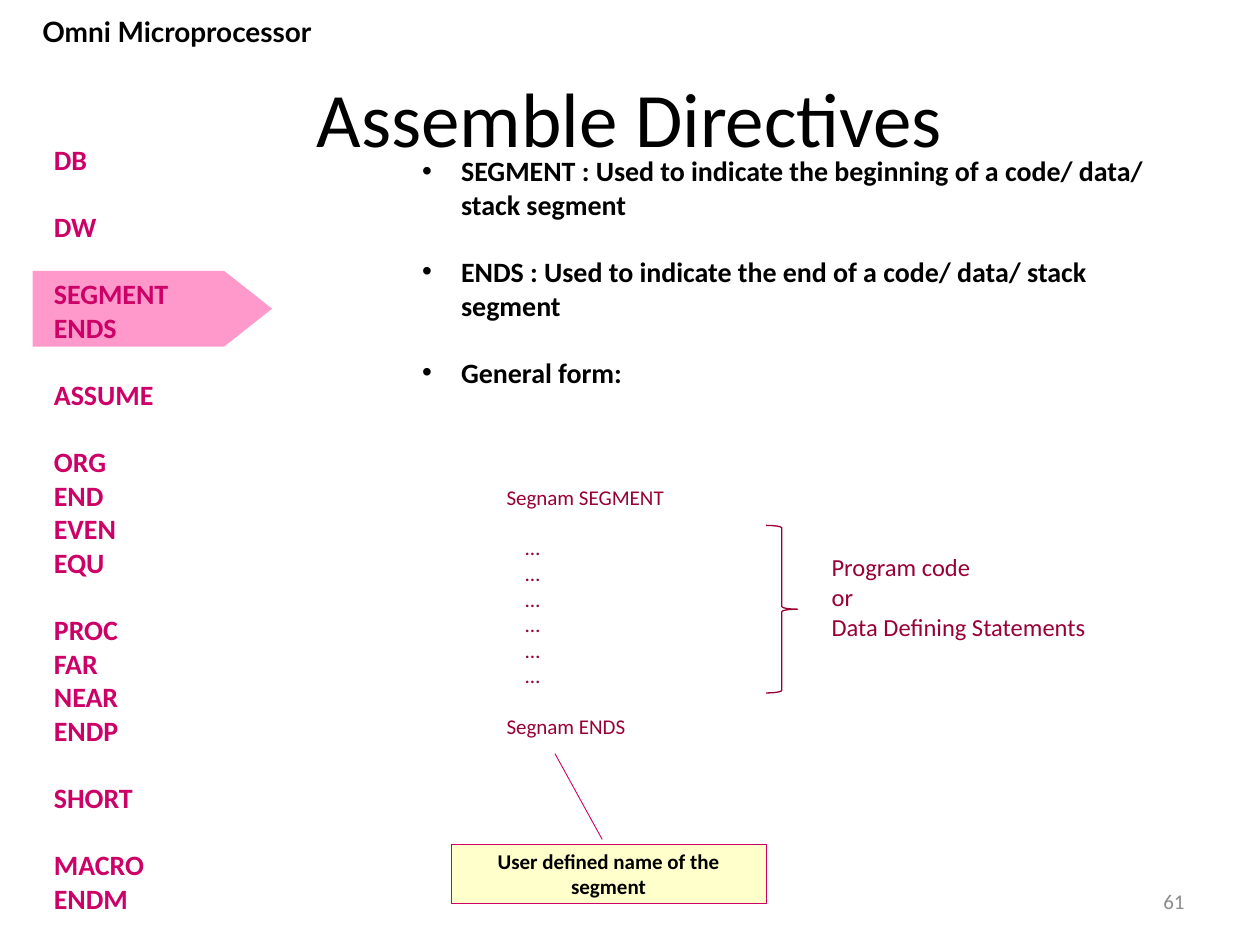
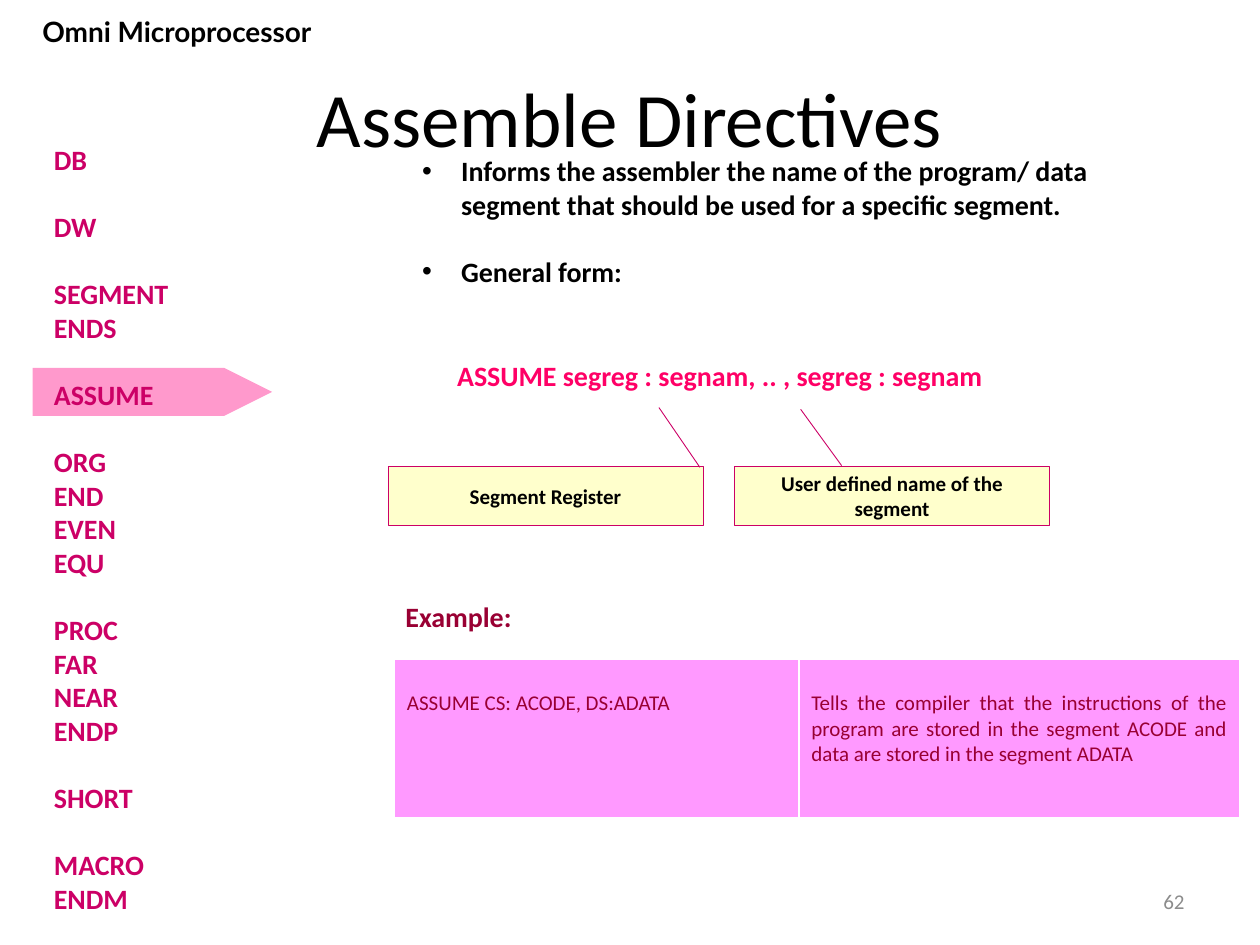
from lxml import etree
from pptx import Presentation
from pptx.dml.color import RGBColor
from pptx.enum.shapes import MSO_SHAPE
from pptx.enum.text import MSO_ANCHOR, MSO_AUTO_SIZE, PP_ALIGN
from pptx.oxml.ns import qn
from pptx.util import Inches, Pt

# Shared look
BLACK, WHITE, GREY = "000000", "FFFFFF", "8C8C8C"
MAGENTA, MAROON, HOT_PINK = "CC0066", "990033", "FF0066"
POINTER_PINK, CELL_PINK, CALLOUT_YELLOW = "FF99CC", "FF99FF", "FFFFCC"
FONT, HEADER_FONT = "Calibri", "Lato"
LINE_SPACING = 1.2  # height of a line relative to its text size

# Directives listed at the left, in groups separated by a gap
DIRECTIVES = [
    ["DB"], ["DW"], ["SEGMENT", "ENDS"], ["ASSUME"],
    ["ORG", "END", "EVEN", "EQU"], ["PROC", "FAR", "NEAR", "ENDP"],
    ["SHORT"], ["MACRO", "ENDM"],
]


def color(value):
    return RGBColor.from_string(value)


def box(left, top, width, height):
    return Inches(left), Inches(top), Inches(width), Inches(height)


def write_text(frame, groups, size=16, ink=BLACK, bold=False, font=FONT,
               align=PP_ALIGN.LEFT, anchor=MSO_ANCHOR.TOP):
    """Write groups of lines, one blank line's height apart; return the paragraphs."""
    if isinstance(groups, str):
        groups = [[groups]]
    frame.word_wrap = True
    frame.vertical_anchor = anchor
    paragraphs = []
    for group in groups:
        for position, text in enumerate(group):
            paragraph = frame.add_paragraph() if paragraphs else frame.paragraphs[0]
            starts_group = paragraphs and position == 0
            paragraph.space_before = Pt(size * LINE_SPACING if starts_group else 0)
            paragraph.alignment = align
            run = paragraph.add_run()
            run.text = text
            run.font.name = font
            run.font.size = Pt(size)
            run.font.bold = bold
            run.font.color.rgb = color(ink)
            paragraphs.append(paragraph)
    return paragraphs


def indent(paragraph, margin, first_line=0):
    properties = paragraph._p.get_or_add_pPr()
    properties.set("marL", str(Inches(margin)))
    properties.set("indent", str(Inches(first_line)))


def add_text(slide, place, groups, **text_format):
    shape = slide.shapes.add_textbox(*box(*place))
    write_text(shape.text_frame, groups, **text_format)


def add_preset(slide, preset, place, fill=None, line=None, line_width=0.5):
    shape = slide.shapes.add_shape(preset, *box(*place))
    shape.shadow.inherit = False
    if fill:
        shape.fill.solid()
        shape.fill.fore_color.rgb = color(fill)
    else:
        shape.fill.background()
    if line:
        shape.line.color.rgb = color(line)
        shape.line.width = Pt(line_width)
    else:
        shape.line.fill.background()
    return shape


def add_pointer(slide, top, height):
    """Highlight a directive with a tag that points right."""
    left, length = 0.26, 1.9
    place = (left + (length - height) / 2, top - (length - height) / 2, height, length)
    shape = add_preset(slide, MSO_SHAPE.FLOWCHART_OFFPAGE_CONNECTOR, place, POINTER_PINK)
    shape.rotation = 270


def add_callout(slide, left, top, text, leader):
    shape = add_preset(slide, MSO_SHAPE.LINE_CALLOUT_1, (left, top, 2.5, 0.47),
                       CALLOUT_YELLOW, MAGENTA)
    for index, value in enumerate(leader):
        shape.adjustments[index] = value
    write_text(shape.text_frame, text, size=12, bold=True,
               align=PP_ALIGN.CENTER, anchor=MSO_ANCHOR.MIDDLE)


def add_cell_borders(cell):
    properties = cell._tc.get_or_add_tcPr()
    for side, width in (("L", 1), ("R", 1), ("T", 1), ("B", 3)):
        line = etree.SubElement(properties, qn(f"a:ln{side}"), w=str(Pt(width)))
        fill = etree.SubElement(line, qn("a:solidFill"))
        etree.SubElement(fill, qn("a:srgbClr"), val=WHITE)


def add_row_table(slide, left, top, height, widths, fill):
    """Add a table of one row and return its cells."""
    table = slide.shapes.add_table(
        1, len(widths), *box(left, top, sum(widths), height)).table
    table.first_row = table.horz_banding = False
    for column, width in zip(table.columns, widths):
        column.width = Inches(width)
    cells = list(table.rows[0].cells)
    for cell in cells:
        add_cell_borders(cell)
        cell.fill.solid()
        cell.fill.fore_color.rgb = color(fill)
    return cells


def add_directive_slide(presentation, number, pointer, bullets, bullets_height):
    """Add a slide with the title, header, number, directive list and bullets."""
    slide = presentation.slides.add_slide(presentation.slide_layouts[1])
    title, body = slide.placeholders

    title.left, title.top, title.width, title.height = box(0.5, 0.3, 9, 1.25)
    write_text(title.text_frame, "Assemble Directives", size=44,
               align=PP_ALIGN.CENTER, anchor=MSO_ANCHOR.MIDDLE)

    body.left, body.top, body.width, body.height = box(3.25, 1.17, 6.17, bullets_height)
    body.text_frame.auto_size = MSO_AUTO_SIZE.NONE
    for paragraph in write_text(body.text_frame, [[text] for text in bullets], bold=True):
        indent(paragraph, 0.31, -0.31)

    add_pointer(slide, *pointer)
    add_text(slide, (0.33, 1.08, 1.63, 6.29), DIRECTIVES, ink=MAGENTA, bold=True)
    add_text(slide, (0.07, 0.07, 2.67, 0.64), "Omni Microprocessor", bold=True,
             font=HEADER_FONT, align=PP_ALIGN.CENTER)
    add_text(slide, (7.17, 6.95, 2.33, 0.4), str(number), size=12, ink=GREY,
             align=PP_ALIGN.RIGHT, anchor=MSO_ANCHOR.MIDDLE)
    return slide


def build_segment_slide(presentation):
    slide = add_directive_slide(presentation, 61, (2.15, 0.6), [
        "SEGMENT : Used to indicate the beginning of a code/ data/ stack segment",
        "ENDS : Used to indicate the end of a code/ data/ stack segment",
        "General form:",
    ], 1.99)

    # General form of a segment
    code, contents = add_row_table(slide, 3.92, 3.8, 2.1, (2.58, 3.08), WHITE)
    code_lines = write_text(
        code.text_frame, [["Segnam SEGMENT"], ["…"] * 6, ["Segnam ENDS"]],
        size=12, ink=MAROON)
    for paragraph in code_lines[1:-1]:
        indent(paragraph, 0.15)
    contents.margin_top = Inches(0.59)
    write_text(contents.text_frame,
               [["Program code", "or", "Data Defining Statements"]],
               size=14, ink=MAROON)
    add_preset(slide, MSO_SHAPE.RIGHT_BRACE, (6.08, 4.17, 0.25, 1.33),
               line=MAROON, line_width=0.75)
    add_callout(slide, 3.58, 6.7, "User defined name of the segment",
                (-0.08, 0.48, -1.53, 0.33))


def build_assume_slide(presentation):
    slide = add_directive_slide(presentation, 62, (2.92, 0.38), [
        "Informs the assembler the name of the program/ data segment that "
        "should be used for a specific segment.",
        "General form:",
    ], 1.45)

    # General form and its parts
    add_text(slide, (3.53, 2.8, 6.06, 0.37),
             "ASSUME segreg : segnam, .. , segreg : segnam", ink=HOT_PINK, bold=True)
    add_callout(slide, 3.08, 3.7, "Segment Register", (0.02, 0.99, -0.99, 0.86))
    add_callout(slide, 5.83, 3.7, "User defined name of the segment",
                (-0.01, 0.34, -0.96, 0.21))

    # Example
    add_text(slide, (3.12, 4.71, 1.44, 0.37), "Example:", ink=MAROON, bold=True)
    cells = add_row_table(slide, 3.13, 5.23, 1.27, (3.21, 3.5), CELL_PINK)
    example = [
        ("ASSUME CS: ACODE, DS:ADATA", PP_ALIGN.LEFT),
        ("Tells the compiler that the instructions of the program are stored in "
         "the segment ACODE and data are stored in the segment ADATA",
         PP_ALIGN.JUSTIFY),
    ]
    for cell, (text, align) in zip(cells, example):
        cell.margin_top = Inches(0.25)
        write_text(cell.text_frame, text, size=12, ink=MAROON, align=align)


def main():
    presentation = Presentation()
    presentation.slide_width = Inches(10)
    presentation.slide_height = Inches(7.5)
    build_segment_slide(presentation)
    build_assume_slide(presentation)
    presentation.save("out.pptx")


if __name__ == "__main__":
    main()
